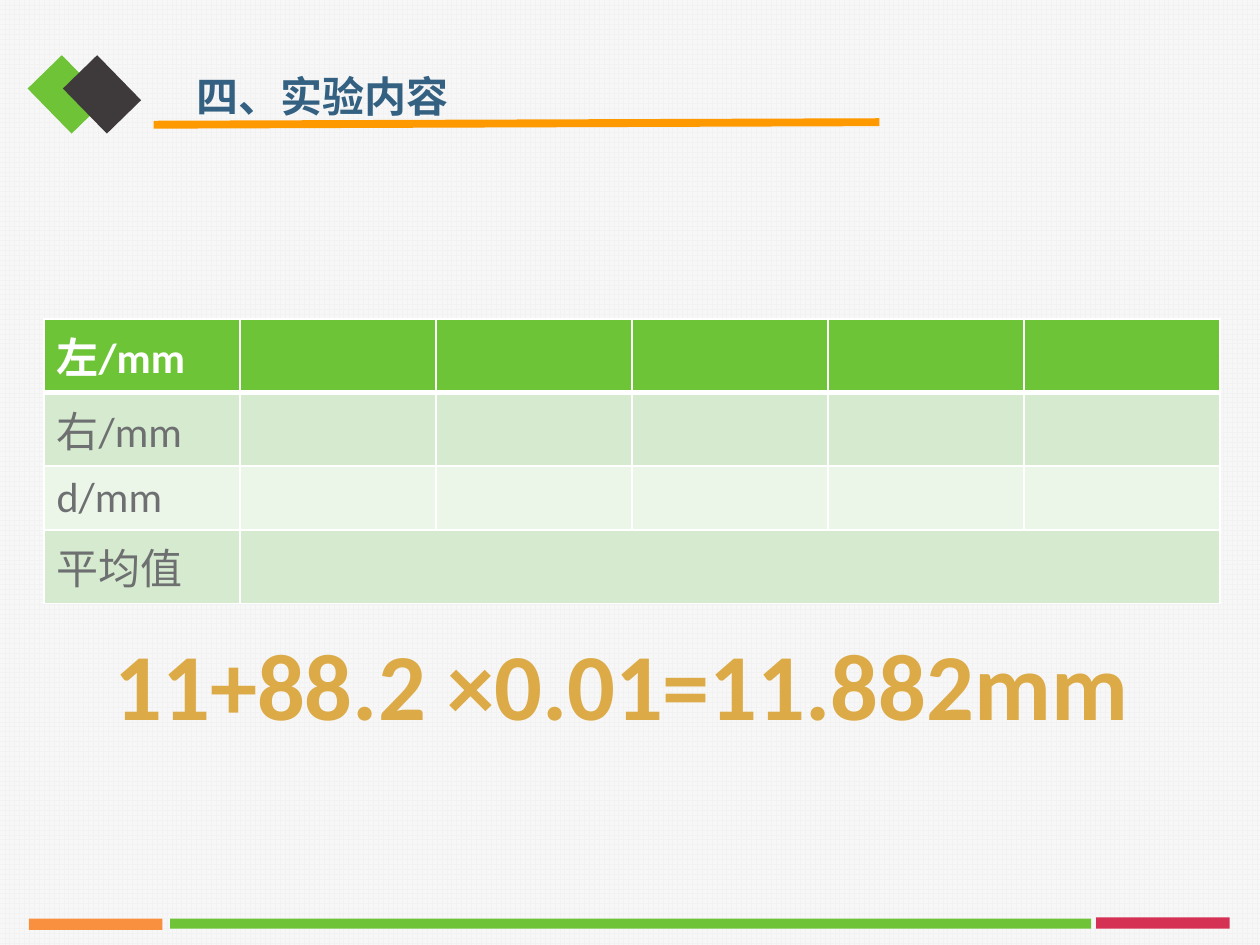
from lxml.etree import SubElement
from pptx import Presentation
from pptx.dml.color import RGBColor
from pptx.enum.dml import MSO_PATTERN
from pptx.enum.shapes import MSO_CONNECTOR, MSO_SHAPE
from pptx.enum.text import MSO_AUTO_SIZE as FIT, PP_ALIGN
from pptx.oxml import parse_xml
from pptx.oxml.ns import nsdecls, qn
from pptx.util import Pt

CJK = "Noto Sans CJK SC"
GREEN = "6EC337"
BLOCKS = [
    (20.16, 40.32, 36, 27.36, 45.7, GREEN),
    (40.32, 40.32, 36, 27.36, 45.7, "3E3A3B"),
    (97.2, 524.88, 526.32, 5.76, 0, GREEN),
    (16.56, 524.88, 76.32, 6.48, 0, "F9903F"),
    (626.4, 524.16, 76.32, 6.48, 0, "D53155"),
]
COLS = 6
COL_W, ROW_H = 112, 30.24
ROWS = [
    ("左/mm", "6EC437", "FFFFFF", True),
    ("右/mm", "D5EACE", "6D6F71", False),
    ("d/mm", "EBF5E8", "6D6F71", False),
    ("平均值", "D5EACE", "6D6F71", False),
]
TEXTS = [
    ("11+88.2 ×0.01=11.882mm", (41.76, 354.24, 627.12, 72.72),
     54, "Calibri", "DCAB48", False, PP_ALIGN.CENTER, 1, ("FEFEFE", 1.5)),
    ("四、实验内容", (105.12, 22.32, 187.2, 51.12),
     24, CJK, "346182", True, PP_ALIGN.LEFT, 1.5, None),
]


def rgb(value):
    return RGBColor.from_string(value)


def line_xml(tag, color, width):
    return parse_xml(
        f'<a:{tag} {nsdecls("a")} w="{Pt(width)}"><a:solidFill>'
        f'<a:srgbClr val="{color}"/></a:solidFill></a:{tag}>')


def style(r, size, font, color, bold):
    r.font.size, r.font.name, r.font.bold = Pt(size), font, bold
    r.font.color.rgb = rgb(color)
    SubElement(r.font._element, qn("a:ea")).set("typeface", CJK)


def add_rect(s, x, y, w, h):
    sp = s.shapes.add_shape(MSO_SHAPE.RECTANGLE, Pt(x), Pt(y), Pt(w), Pt(h))
    sp.shadow.inherit = False
    sp.line.fill.background()
    return sp


def add_blocks(s):
    fill = add_rect(s, 0, 0, 720, 540).fill
    fill.patterned()
    fill.pattern = MSO_PATTERN.LARGE_GRID
    fill.fore_color.rgb, fill.back_color.rgb = rgb("F2F2F2"), rgb("F7F7F7")
    for *box, angle, color in BLOCKS:
        sp = add_rect(s, *box)
        sp.rotation = angle
        sp.fill.solid()
        sp.fill.fore_color.rgb = rgb(color)


def add_results(s):
    table = s.shapes.add_table(len(ROWS), COLS, Pt(25.2), Pt(182.16),
                               Pt(COL_W * COLS), Pt(ROW_H * len(ROWS))).table
    for i, (label, fill, color, bold) in enumerate(ROWS):
        table.rows[i].height = Pt(ROW_H)
        for j, cell in enumerate(table.rows[i].cells):
            cell.fill.solid()
            cell.fill.fore_color.rgb = rgb(fill)
            tc_pr = cell._tc.get_or_add_tcPr()
            widths = (1, 1, 3 if i == 1 else 1, 3 if i == 0 else 1)
            for k, (tag, width) in enumerate(zip(("lnL", "lnR", "lnT", "lnB"), widths)):
                tc_pr.insert(k, line_xml(tag, "FFFFFF", width))
        cell = table.cell(i, 0)
        cell.text_frame.text = label
        style(cell.text_frame.paragraphs[0].runs[0], 24, "Calibri", color, bold)
    last = len(ROWS) - 1
    table.cell(last, 1).merge(table.cell(last, COLS - 1))


def add_texts(s):
    for text, box, size, font, color, wrap, align, spacing, outline in TEXTS:
        tf = s.shapes.add_textbox(*map(Pt, box)).text_frame
        tf.word_wrap, tf.auto_size = wrap, FIT.SHAPE_TO_FIT_TEXT
        tf.text = text
        p = tf.paragraphs[0]
        p.alignment, p.line_spacing = align, spacing
        r = p.runs[0]
        style(r, size, font, color, True)
        if outline:
            r.font._element.insert(0, line_xml("ln", *outline))


def add_underline(s):
    line = s.shapes.add_connector(MSO_CONNECTOR.STRAIGHT,
                                  Pt(87.84), Pt(71.28), Pt(502.56), Pt(69.84))
    line.line.color.rgb = rgb("FF9900")
    line.line.width = Pt(4.5)
    SubElement(line._element.spPr, qn("a:effectLst"))


def main():
    prs = Presentation()
    prs.slide_width, prs.slide_height = Pt(720), Pt(540)
    s = prs.slides.add_slide(prs.slide_layouts[6])
    add_blocks(s)
    add_results(s)
    add_texts(s)
    add_underline(s)
    prs.save("out.pptx")


if __name__ == "__main__":
    main()
